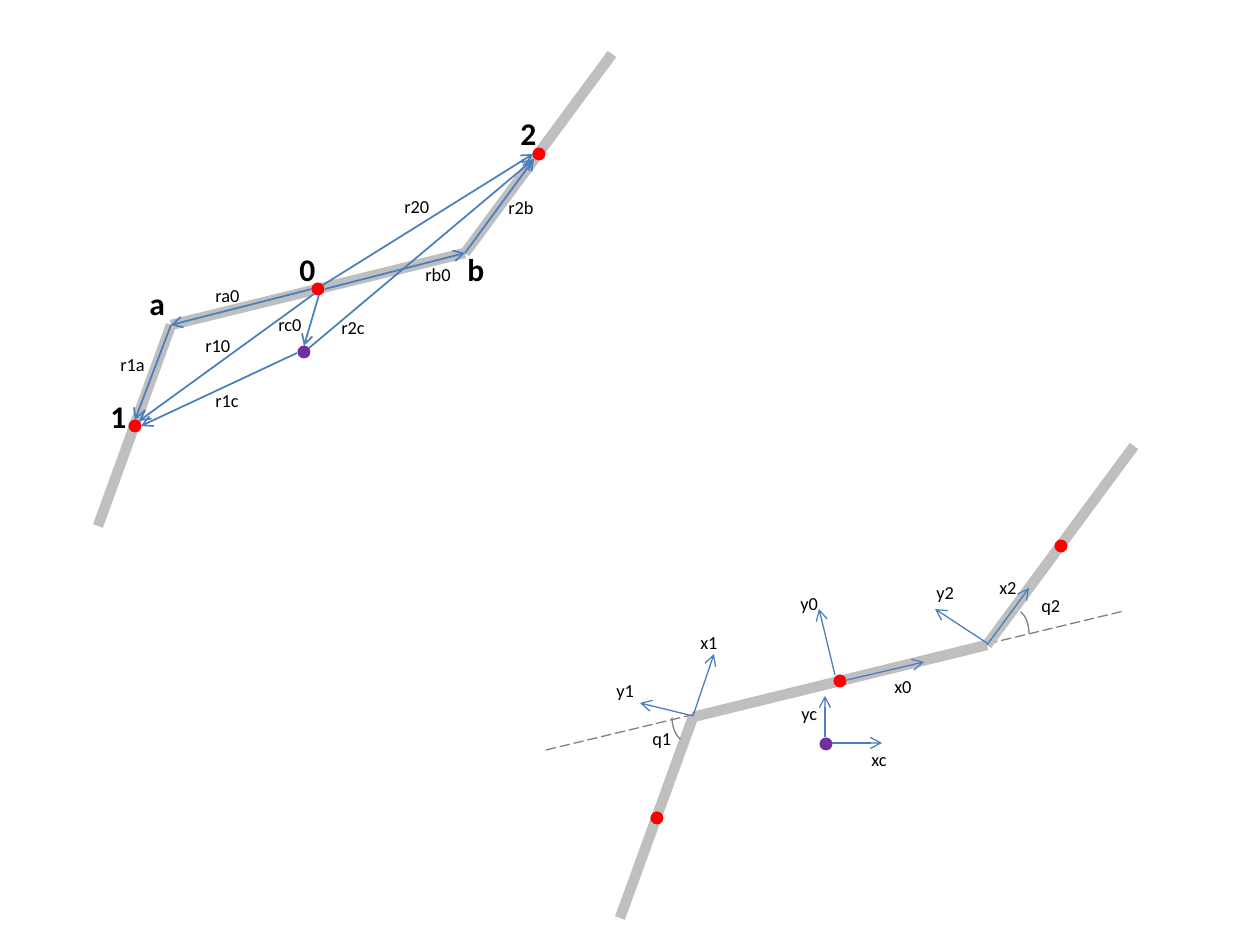
from lxml.etree import SubElement
from pptx import Presentation
from pptx.dml.color import RGBColor
from pptx.enum.dml import MSO_LINE
from pptx.enum.shapes import MSO_CONNECTOR, MSO_SHAPE
from pptx.enum.text import MSO_AUTO_SIZE
from pptx.oxml.ns import qn
from pptx.util import Pt

SCALE = 914400 / 126  # EMU per px
COLORS = {
    "link": "BFBFBF",
    "vector": "4B7EBC",
    "guide": "808080",
    "joint": "FF0000",
    "mass": "7030A0",
    "text": "000000",
}


def emu(*lengths):
    return [round(length * SCALE) for length in lengths]


def add_line(start, end, color, width, arrow=False):
    line = page.shapes.add_connector(MSO_CONNECTOR.STRAIGHT, *emu(*start, *end))
    line.line.color.rgb = RGBColor.from_string(COLORS[color])
    line.line.width = Pt(width)
    if arrow:
        SubElement(line.line._get_or_add_ln(), qn("a:tailEnd"), type="arrow")
    SubElement(line._element.spPr, qn("a:effectLst"))
    return line


deck = Presentation()
deck.slide_width, deck.slide_height = emu(1260, 945)
page = deck.slides.add_slide(deck.slide_layouts[6])

# Dashed extension of the middle link in the lower linkage
guide = add_line((546, 750), (1124, 611), "guide", 0.75)
guide.line.dash_style = MSO_LINE.LONG_DASH

# The same linkage twice, the second one shifted
chain = [(98, 526), (171, 325), (465, 253), (612, 54)]
points = [
    (318, 289, "joint"),
    (135, 426, "joint"),
    (539, 154, "joint"),
    (304, 352, "mass"),
]
DOT = 13
for shift_x, shift_y in [(0, 0), (522, 392)]:
    corners = [(x + shift_x, y + shift_y) for x, y in chain]
    for start, end in zip(corners, corners[1:]):
        add_line(start, end, "link", 6)
    for x, y, color in points:
        left, top = x + shift_x - DOT / 2, y + shift_y - DOT / 2
        dot = page.shapes.add_shape(
            MSO_SHAPE.FLOWCHART_CONNECTOR, *emu(left, top, DOT, DOT))
        dot.shadow.inherit = False
        dot.fill.solid()
        dot.fill.fore_color.rgb = RGBColor.from_string(COLORS[color])
        dot.line.fill.background()

position_vectors = [
    ((319, 295), (304, 346)),
    ((297, 353), (141, 426)),
    ((323, 285), (533, 154)),
    ((314, 294), (139, 421)),
    ((312, 289), (171, 325)),
    ((325, 289), (465, 253)),
    ((309, 348), (534, 159)),
    ((171, 325), (135, 420)),
    ((465, 253), (534, 159)),
]
frame_axes = [
    ((832, 743), (882, 743)),
    ((825, 737), (825, 696)),
    ((847, 680), (924, 662)),
    ((835, 675), (819, 609)),
    ((987, 645), (1029, 588)),
    ((987, 643), (935, 609)),
    ((693, 716), (714, 654)),
    ((693, 716), (640, 703)),
]
for vectors, width in [(position_vectors, 1), (frame_axes, 0.75)]:
    for start, end in vectors:
        add_line(start, end, "vector", width, arrow=True)

# Joint angles q2 and q1
for left, top, rotation in [(998, 609, 0), (672, 693, 180)]:
    arc = page.shapes.add_shape(MSO_SHAPE.ARC, *emu(left, top, 31, 49))
    arc.adjustments[0] = 172.88
    arc.rotation = rotation
    arc.shadow.inherit = False
    arc.fill.background()
    arc.line.color.rgb = RGBColor.from_string(COLORS["guide"])
    arc.line.width = Pt(0.75)

vector_labels = [
    ("r10", 193, 328), ("r1c", 203, 383), ("rc0", 266, 307),
    ("ra0", 203, 278), ("rb0", 413, 257), ("r2c", 329, 310),
    ("r20", 392, 189), ("r1a", 108, 347), ("r2b", 496, 190),
]
point_labels = [
    ("a", 137, 278), ("b", 455, 244), ("0", 287, 244),
    ("2", 508, 108), ("1", 98, 391),
]
axis_labels = [
    ("x0", 882, 669), ("x2", 987, 570), ("x1", 688, 625), ("xc", 859, 742),
    ("y0", 788, 586), ("y2", 924, 575), ("y1", 604, 673), ("yc", 789, 696),
    ("q2", 1029, 588), ("q1", 640, 721),
]
label_groups = [
    (vector_labels, 73, 36, 10.5, False),
    (point_labels, 42, 50, 18, True),
    (axis_labels, 53, 36, 10.5, False),
]
for labels, width, height, size, bold in label_groups:
    for label, left, top in labels:
        box = page.shapes.add_textbox(*emu(left, top, width, height))
        box.text_frame.word_wrap = True
        box.text_frame.auto_size = MSO_AUTO_SIZE.SHAPE_TO_FIT_TEXT
        span = box.text_frame.paragraphs[0].add_run()
        span.text = label
        span.font.name = "Calibri"
        span.font.size = Pt(size)
        span.font.bold = bold
        span.font.color.rgb = RGBColor.from_string(COLORS["text"])

deck.save("out.pptx")
